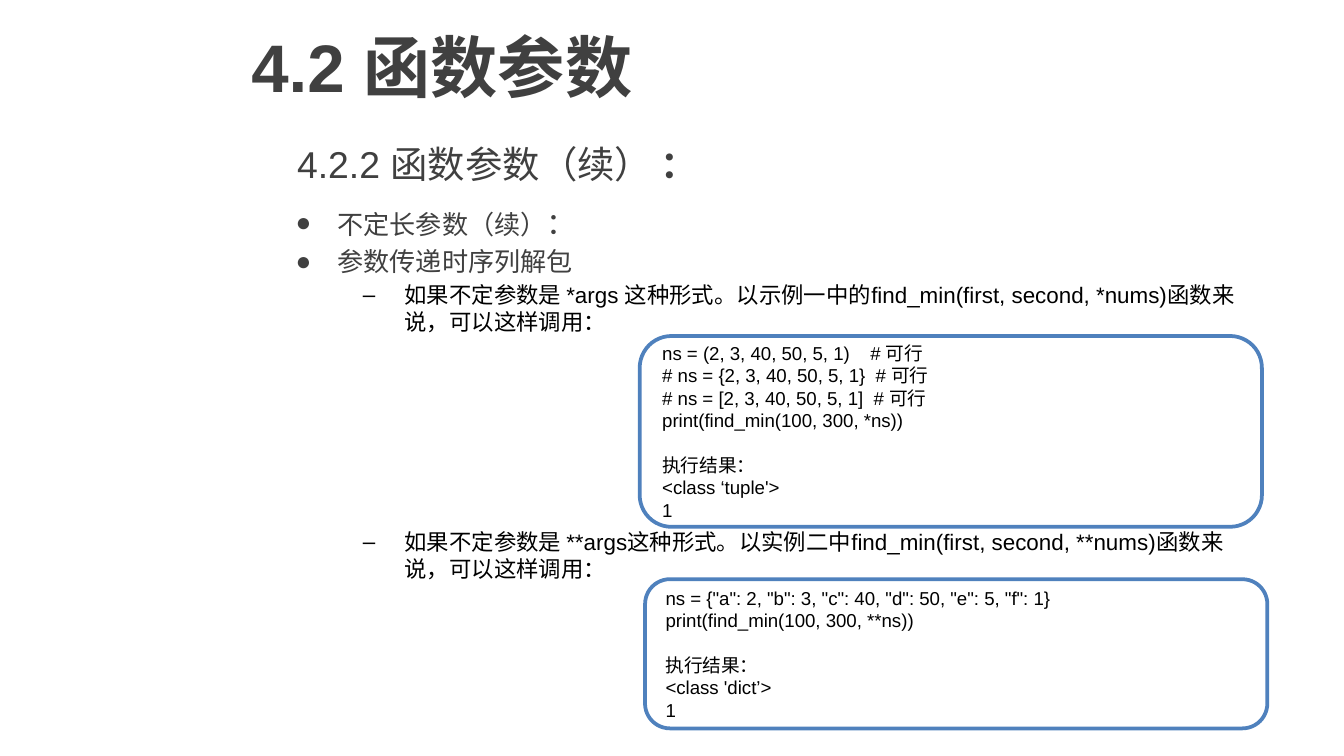
"""Build the slide on unpacking sequences into function parameters."""
import dataclasses

import lxml.etree
import pptx
import pptx.dml.color
import pptx.enum.shapes
import pptx.enum.text
import pptx.oxml.ns
import pptx.util
from pptx.util import Inches


@dataclasses.dataclass(frozen=True)
class Theme:
    font: str = "Arial"
    heading: str = "404040"
    text: str = "000000"
    paper: str = "FFFFFF"
    outline: str = "4F81BD"
    title_size: int = 36
    subtitle_size: int = 20
    colon_size: int = 16
    topic_size: int = 14
    detail_size: int = 12
    code_size: int = 10


theme = Theme()


def write_text(paragraph, text, size, color=theme.text, bold=False):
    run = paragraph.add_run()
    run.text = text
    run.font.name = theme.font
    run.font.size = pptx.util.Pt(size)
    run.font.bold = bold
    run.font.color.rgb = pptx.dml.color.RGBColor.from_string(color)


def set_bullet(paragraph, symbol=None, margin=0, hanging=0):
    properties = paragraph._p.get_or_add_pPr()
    properties.set("marL", str(Inches(margin)))
    properties.set("indent", str(Inches(-hanging)))
    tag = "a:buChar" if symbol else "a:buNone"
    bullet = lxml.etree.SubElement(properties, pptx.oxml.ns.qn(tag))
    if symbol:
        bullet.set("char", symbol)


presentation = pptx.Presentation()
presentation.slide_width = Inches(10)
presentation.slide_height = presentation.slide_width * 9 // 16
slide = presentation.slides.add_slide(presentation.slide_layouts.get_by_name("Two Content"))
title, subtitle, topics = slide.placeholders

middle = pptx.enum.text.MSO_ANCHOR.MIDDLE
top = pptx.enum.text.MSO_ANCHOR.TOP
for placeholder, box, anchor in [
    (title, (1.77, 0, 8.23, 0.97), middle),
    (subtitle, (2.11, 0.97, 7.56, 0.5), middle),
    (topics, (1.77, 1.47, 7.56, 3.28), top),
]:
    placeholder.left, placeholder.top, placeholder.width, placeholder.height = map(Inches, box)
    placeholder.text_frame.vertical_anchor = anchor
    placeholder.text_frame.auto_size = pptx.enum.text.MSO_AUTO_SIZE.NONE
    placeholder.text_frame.word_wrap = True

paragraph = title.text_frame.paragraphs[0]
paragraph.alignment = pptx.enum.text.PP_ALIGN.LEFT
write_text(paragraph, "4.2 函数参数", theme.title_size, theme.heading, bold=True)

paragraph = subtitle.text_frame.paragraphs[0]
set_bullet(paragraph)
write_text(paragraph, "4.2.2 函数参数（续） ", theme.subtitle_size, theme.heading)
write_text(paragraph, "：", theme.subtitle_size, theme.heading, bold=True)

topics.text_frame.margin_left = Inches(0.43)
paragraph = topics.text_frame.paragraphs[0]
set_bullet(paragraph, "●", 0.31, 0.31)
write_text(paragraph, "不定长参数（续）", theme.topic_size, theme.heading)
write_text(paragraph, "：", theme.colon_size, theme.heading)

paragraph = topics.text_frame.add_paragraph()
set_bullet(paragraph, "●", 0.31, 0.31)
write_text(paragraph, "参数传递时序列解包", theme.topic_size, theme.heading)

for detail, space_before in [
    ("如果不定参数是 *args 这种形式。以示例一中的find_min(first, second, *nums)函数来说，可以这样调用：", None),
    ("如果不定参数是 **args这种形式。以实例二中find_min(first, second, **nums)函数来说，可以这样调用：", 103.5),
]:
    paragraph = topics.text_frame.add_paragraph()
    paragraph.level = 1
    if space_before:
        paragraph.space_before = pptx.util.Pt(space_before)
    set_bullet(paragraph, "–", 0.81, 0.31)
    write_text(paragraph, detail, theme.detail_size)

result_heading = "执行结果："
examples = [
    ((4.76, 2.5, 4.63, 1.42), [
        "ns = (2, 3, 40, 50, 5, 1)    # 可行",
        "# ns = {2, 3, 40, 50, 5, 1}  # 可行",
        "# ns = [2, 3, 40, 50, 5, 1]  # 可行",
        "print(find_min(100, 300, *ns))",
        result_heading,
        "<class ‘tuple'>",
        "1",
    ]),
    ((4.8, 4.31, 4.63, 1.11), [
        'ns = {"a": 2, "b": 3, "c": 40, "d": 50, "e": 5, "f": 1}',
        "print(find_min(100, 300, **ns))",
        result_heading,
        "<class 'dict’>",
        "1",
    ]),
]
for box, lines in examples:
    shape = slide.shapes.add_shape(
        pptx.enum.shapes.MSO_SHAPE.ROUNDED_RECTANGLE, *map(Inches, box)
    )
    shape.shadow.inherit = False
    shape.fill.solid()
    shape.fill.fore_color.rgb = pptx.dml.color.RGBColor.from_string(theme.paper)
    shape.line.color.rgb = pptx.dml.color.RGBColor.from_string(theme.outline)
    shape.line.width = pptx.util.Pt(2)
    frame = shape.text_frame
    frame.word_wrap = True
    frame.vertical_anchor = middle
    for number, line in enumerate(lines):
        paragraph = frame.add_paragraph() if number else frame.paragraphs[0]
        paragraph.alignment = pptx.enum.text.PP_ALIGN.JUSTIFY
        if line == result_heading:
            paragraph.space_before = pptx.util.Pt(12)
        write_text(paragraph, line, theme.code_size)

presentation.save("out.pptx")
